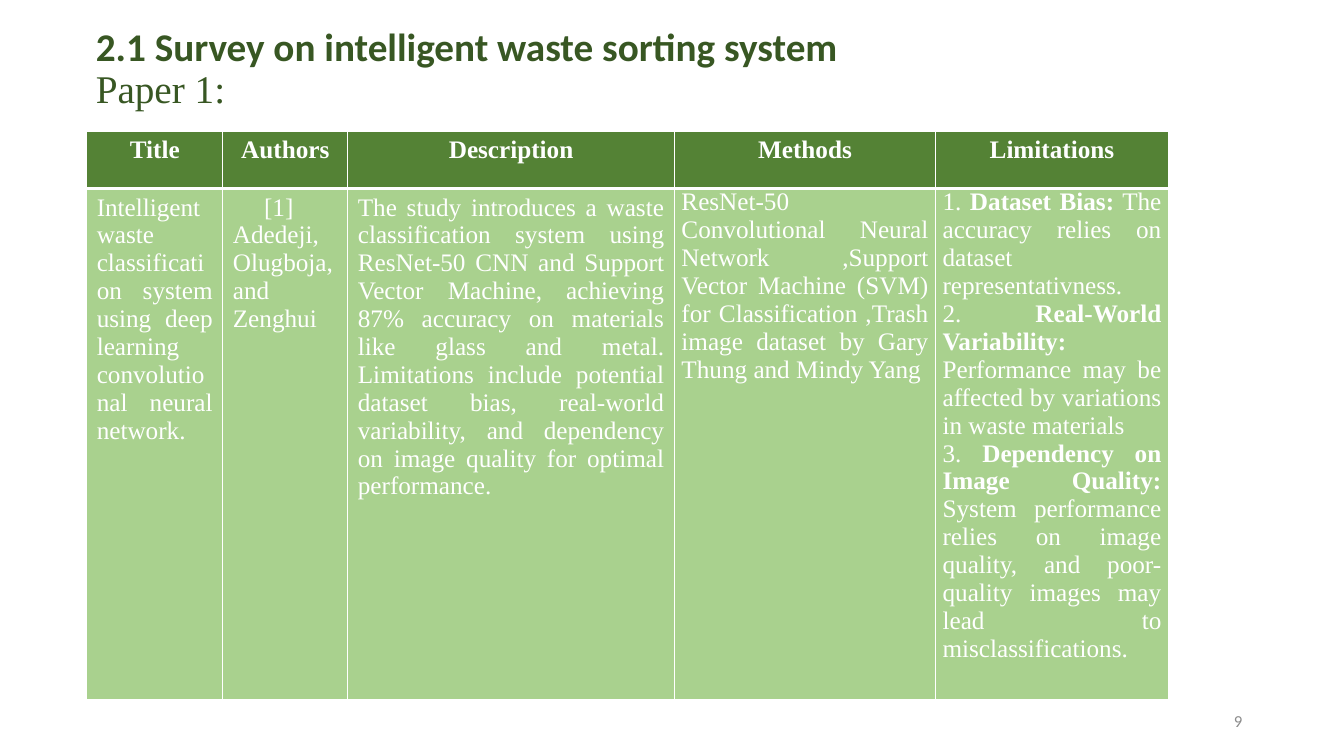
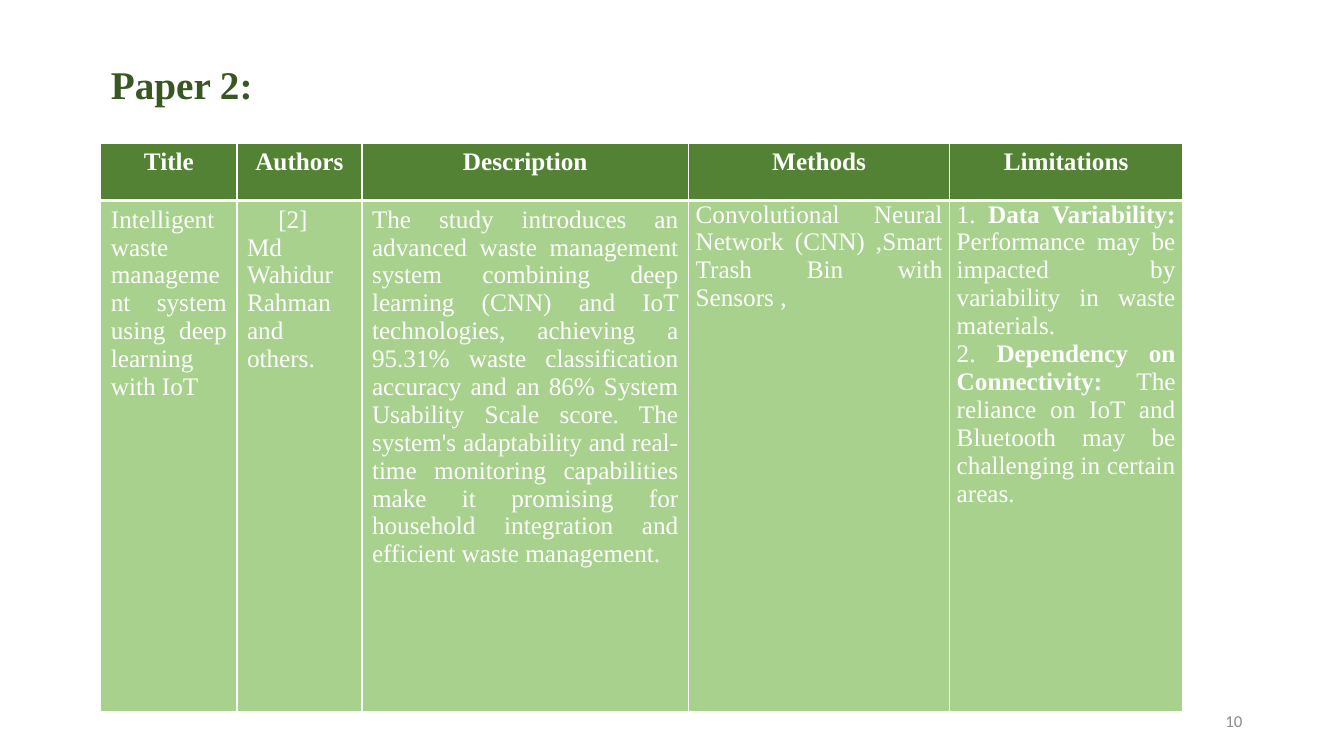
from lxml import etree
from pptx import Presentation
from pptx.dml.color import RGBColor
from pptx.enum.text import MSO_ANCHOR, MSO_AUTO_SIZE, PP_ALIGN
from pptx.oxml.ns import qn
from pptx.util import Pt

LEFT, MID, RIGHT, JUST = PP_ALIGN.LEFT, PP_ALIGN.CENTER, PP_ALIGN.RIGHT, PP_ALIGN.JUSTIFY
CENTRE = MSO_ANCHOR.MIDDLE
NO_FIT = MSO_AUTO_SIZE.NONE

# Shared look: 100 px to the inch
SCALE = 9144
SERIF, SANS = "Times New Roman", "Calibri"
COLORS = {"title": "385723", "head": "548235", "body": "A9D18E",
          "white": "FFFFFF", "page": "8C8C8C"}
HEADS = ["Title", "Authors", "Description", "Methods", "Limitations"]
COLS = [135, 124, 324, 259, 231]
ROWS = [57, 507]
TIGHT = 3       # columns from here on have narrow cell margins
INDENT = 31     # first-line indent of a citation number

# Content: title runs are (text, font, bold); *stars* mark bold words in cells
PAPERS = [
    {"page": 9, "title_box": (85, 8, 810, 122), "table_at": (86, 130),
     "title": [("2.1 Survey on intelligent waste sorting system", SANS, True),
               ("Paper 1:", SERIF, False)],
     "cells": [
         ["Intelligent waste classification system using deep learning "
          "convolutional neural network."],
         ["[1]", "Adedeji, Olugboja, and Zenghui"],
         ["The study introduces a waste classification system using ResNet-50 CNN "
          "and Support Vector Machine, achieving 87% accuracy on materials like "
          "glass and metal. Limitations include potential dataset bias, real-world "
          "variability, and dependency on image quality for optimal performance."],
         ["ResNet-50 Convolutional Neural Network ,Support Vector Machine (SVM) for "
          "Classification ,Trash image dataset by Gary Thung and Mindy Yang"],
         ["1. *Dataset Bias:* The accuracy relies on dataset representativness.",
          "2. *Real-World Variability:* Performance may be affected by variations "
          "in waste materials",
          "3. *Dependency on Image Quality:* System performance relies on image "
          "quality, and poor-quality images may lead to misclassifications."]]},
    {"page": 10, "title_box": (100, 14, 343, 145), "table_at": (100, 142),
     "title": [("Paper 2:", SERIF, True)],
     "cells": [
         ["Intelligent waste management system using deep learning with IoT"],
         ["[2]", "Md Wahidur Rahman and others."],
         ["The study introduces an advanced waste management system combining deep "
          "learning (CNN) and IoT technologies, achieving a 95.31% waste "
          "classification accuracy and an 86% System Usability Scale score. The "
          "system's adaptability and real-time monitoring capabilities make it "
          "promising for household integration and efficient waste management."],
         ["Convolutional Neural Network (CNN) ,Smart Trash Bin with Sensors ,"],
         ["1. *Data Variability:* Performance may be impacted by variability in "
          "waste materials.",
          "2. *Dependency on Connectivity:* The reliance on IoT and Bluetooth may "
          "be challenging in certain areas."]]},
]


def px(*vals):
    return [v * SCALE for v in vals]


def rgb(name):
    return RGBColor.from_string(COLORS[name])


def style(para, size, color, align, face=None):
    para.alignment = align
    font = para.font
    font.size, font.color.rgb = Pt(size), rgb(color)
    if face:
        font.name = face


def add_title(slide, box, lines):
    shape = slide.shapes.title
    shape.left, shape.top, shape.width, shape.height = px(*box)
    frame = shape.text_frame
    frame.auto_size, frame.vertical_anchor = NO_FIT, CENTRE
    para = frame.paragraphs[0]
    style(para, 28, "title", LEFT)
    para.line_spacing = 0.9
    for i, (text, face, bold) in enumerate(lines):
        if i:
            para.add_line_break()
        run = para.add_run()
        run.text, run.font.name, run.font.bold = text, face, bold


def add_page(slide, num):
    frame = slide.shapes.add_textbox(*px(942, 695, 300, 40)).text_frame
    frame.word_wrap, frame.vertical_anchor = True, CENTRE
    para = frame.paragraphs[0]
    para.text = str(num)
    style(para, 12, "page", RIGHT, SANS)


def add_edges(cell, top, bottom):
    """White borders, widths in points; call before the fill is set."""
    props = cell._tc.get_or_add_tcPr()
    for side, width in (("L", 1), ("R", 1), ("T", top), ("B", bottom)):
        line = etree.SubElement(props, qn("a:ln" + side), w=str(Pt(width)))
        fill = etree.SubElement(line, qn("a:solidFill"))
        etree.SubElement(fill, qn("a:srgbClr"), val=COLORS["white"])


def fill_cell(cell, paras, head=False):
    add_edges(cell, *((1, 3) if head else (3, 1)))
    cell.fill.solid()
    cell.fill.fore_color.rgb = rgb("head" if head else "body")
    frame = cell.text_frame
    for i, text in enumerate(paras):
        para = frame.add_paragraph() if i else frame.paragraphs[0]
        style(para, 18, "white", MID if head else JUST, SERIF)
        if text.startswith("["):
            para._p.get_or_add_pPr().set("indent", str(INDENT * SCALE))
        for j, part in enumerate(text.split("*")):
            run = para.add_run()
            run.text, run.font.bold = part, head or j % 2 == 1


def add_grid(slide, at, cells):
    size = (sum(COLS), sum(ROWS))
    grid = slide.shapes.add_table(2, len(COLS), *px(*at, *size)).table
    for row, high in zip(grid.rows, px(*ROWS)):
        row.height = high
    for i, wide in enumerate(px(*COLS)):
        grid.columns[i].width = wide
        fill_cell(grid.cell(0, i), [HEADS[i]], head=True)
        body = grid.cell(1, i)
        if i >= TIGHT:
            body.margin_left, body.margin_top, body.margin_right, body.margin_bottom = px(7, 0, 7, 0)
        fill_cell(body, cells[i])


def main():
    prs = Presentation()
    prs.slide_width, prs.slide_height = px(1333, 750)
    for paper in PAPERS:
        slide = prs.slides.add_slide(prs.slide_layouts[5])
        add_title(slide, paper["title_box"], paper["title"])
        add_grid(slide, paper["table_at"], paper["cells"])
        add_page(slide, paper["page"])
    prs.save("out.pptx")


if __name__ == "__main__":
    main()
